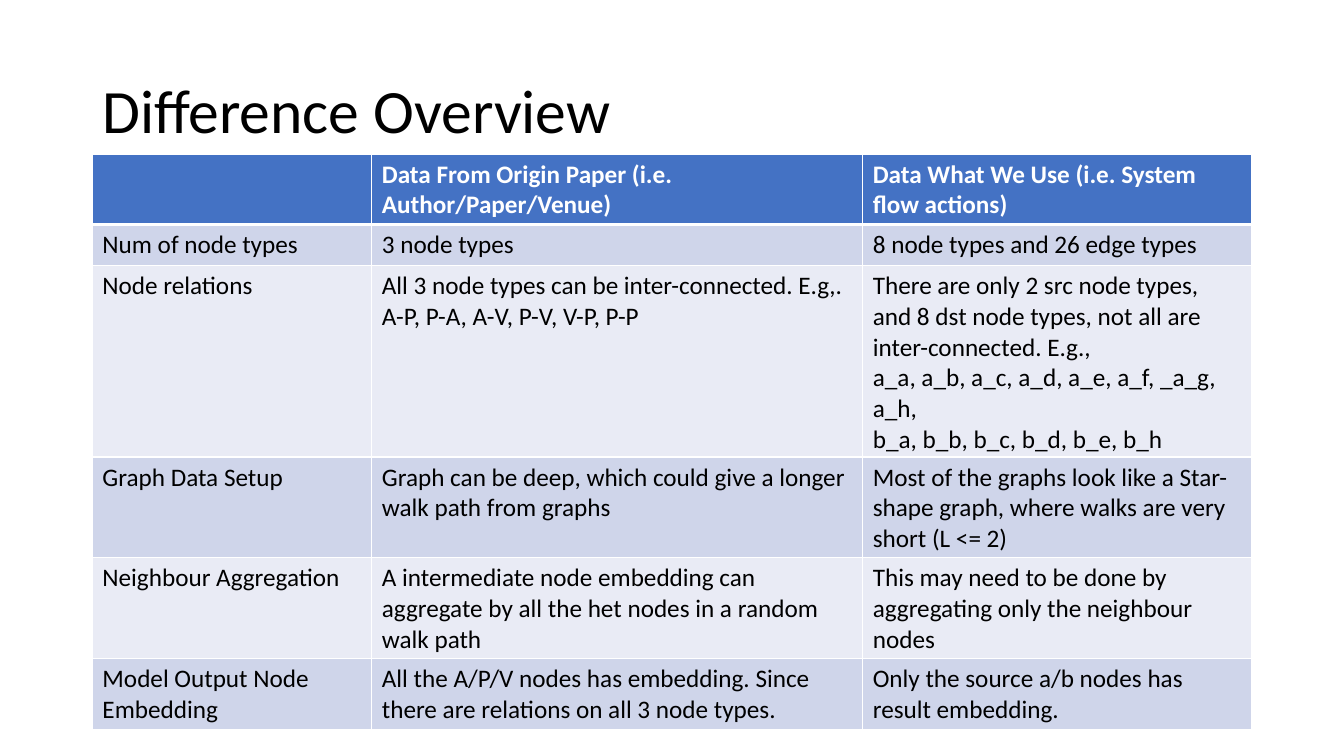
from dataclasses import dataclass
from pptx import Presentation
from pptx.dml.color import RGBColor
from pptx.enum.text import MSO_ANCHOR
from pptx.oxml import parse_xml
from pptx.oxml.ns import nsdecls
from pptx.util import Pt


@dataclass(frozen=True)
class Theme:
    font: str = "Calibri"
    title_size: float = 44
    body_size: float = 18
    text: str = "000000"
    white: str = "FFFFFF"
    header: str = "4472C4"
    bands: tuple = ("CFD5EA", "E9EBF5")
    thin: float = 1
    thick: float = 3


THEME = Theme()

COL_WIDTHS = (199.6, 350.7, 277.5)
ROW_HEIGHT = 29.2

ROWS = [
    ("", "Data From Origin Paper (i.e. Author/Paper/Venue)",
     "Data What We Use (i.e. System flow actions)"),
    ("Num of node types", "3 node types", "8 node types and 26 edge types"),
    ("Node relations",
     "All 3 node types can be inter-connected. E.g,. "
     "A-P, P-A, A-V, P-V, V-P, P-P",
     "There are only 2 src node types, and 8 dst node types, "
     "not all are inter-connected. E.g.,\n"
     "a_a, a_b, a_c, a_d, a_e, a_f, _a_g, a_h,\n"
     "b_a, b_b, b_c, b_d, b_e, b_h"),
    ("Graph Data Setup",
     "Graph can be deep, which could give a longer walk path from graphs",
     "Most of the graphs look like a Star-shape graph, "
     "where walks are very short (L <= 2)"),
    ("Neighbour Aggregation",
     "A intermediate node embedding can aggregate by all the het nodes "
     "in a random walk path",
     "This may need to be done by aggregating only the neighbour nodes"),
    ("Model Output Node Embedding",
     "All the A/P/V nodes has embedding. "
     "Since there are relations on all 3 node types.",
     "Only the source a/b nodes has result embedding."),
]


def write(tf, text, size=THEME.body_size, color=THEME.text, bold=False,
          spacing=None):
    """Fill a text frame, one paragraph per line of text."""
    tf.word_wrap = True
    for i, line in enumerate(text.split("\n")):
        p = tf.paragraphs[0] if i == 0 else tf.add_paragraph()
        p.line_spacing = spacing
        p.font.size = Pt(size)
        r = p.add_run()
        r.text = line
        r.font.name = THEME.font
        r.font.size = Pt(size)
        r.font.bold = bold
        r.font.color.rgb = RGBColor.from_string(color)


def set_borders(cell, top, bottom):
    """Draw white cell borders; call before the fill is set."""
    tcPr = cell._tc.get_or_add_tcPr()
    widths = {"L": THEME.thin, "R": THEME.thin, "T": top, "B": bottom}
    for side, width in widths.items():
        tcPr.append(parse_xml(
            f'<a:ln{side} {nsdecls("a")} w="{Pt(width)}"><a:solidFill>'
            f'<a:srgbClr val="{THEME.white}"/></a:solidFill></a:ln{side}>'))


def add_title(slide, text, left, top, width, height):
    sp = slide.shapes.add_textbox(Pt(left), Pt(top), Pt(width), Pt(height))
    tf = sp.text_frame
    tf.vertical_anchor = MSO_ANCHOR.MIDDLE
    write(tf, text, size=THEME.title_size, spacing=0.9)


def add_comparison(slide, rows, left, top, col_widths, row_height):
    table = slide.shapes.add_table(
        len(rows), len(col_widths), Pt(left), Pt(top),
        Pt(sum(col_widths)), Pt(row_height * len(rows))).table
    for col, width in zip(table.columns, col_widths):
        col.width = Pt(width)
    for i, texts in enumerate(rows):
        is_header = i == 0
        fill = THEME.header if is_header else THEME.bands[(i - 1) % 2]
        for j, text in enumerate(texts):
            cell = table.cell(i, j)
            # The line under the header is heavier than the others
            set_borders(cell, THEME.thick if i == 1 else THEME.thin,
                        THEME.thick if is_header else THEME.thin)
            cell.fill.solid()
            cell.fill.fore_color.rgb = RGBColor.from_string(fill)
            write(cell.text_frame, text, bold=is_header,
                  color=THEME.white if is_header else THEME.text)


def add_overview_slide(prs):
    slide = prs.slides.add_slide(prs.slide_layouts[6])
    left = 66
    # Title
    add_title(slide, "Difference Overview", left, 28.8, 828, 104.4)
    # Comparison table
    add_comparison(slide, ROWS, left, 110, COL_WIDTHS, ROW_HEIGHT)


prs = Presentation()
prs.slide_width, prs.slide_height = Pt(960), Pt(540)
add_overview_slide(prs)
prs.save("out.pptx")
